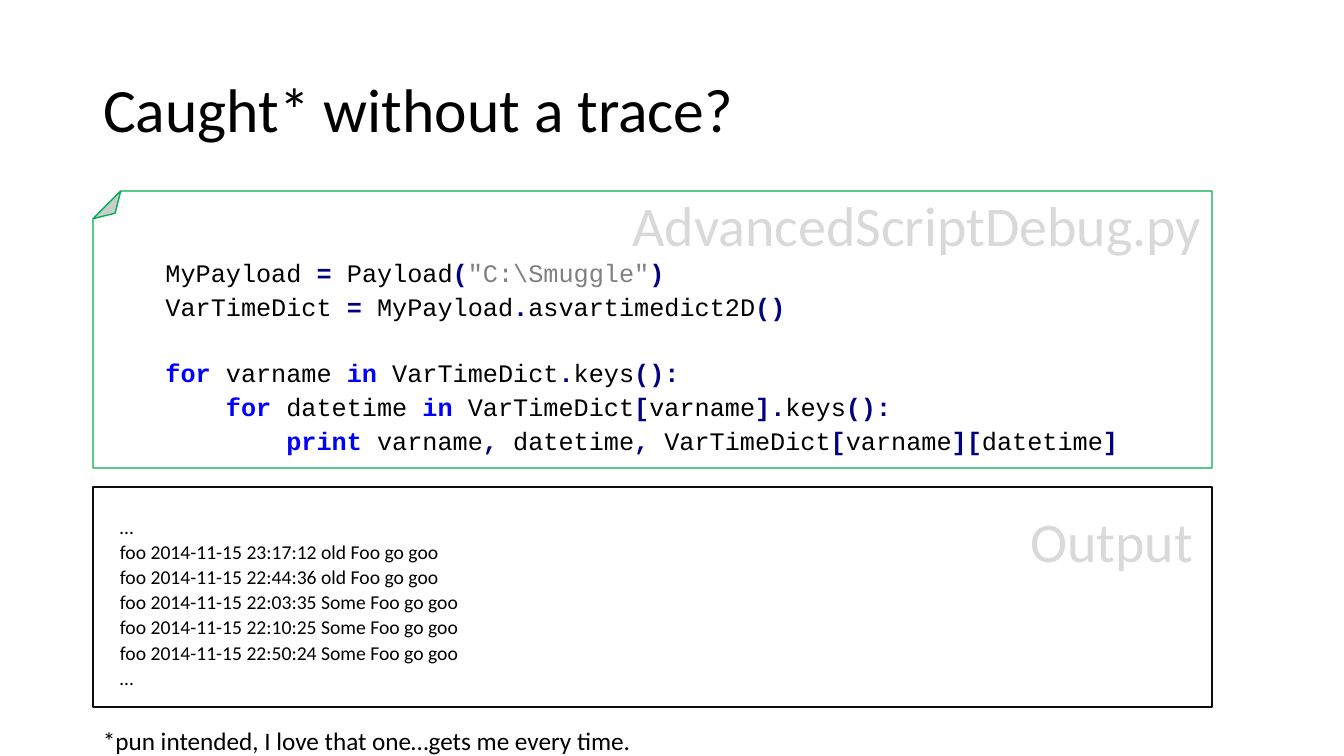
from lxml import etree
from pptx import Presentation
from pptx.dml.color import RGBColor
from pptx.enum.shapes import MSO_SHAPE
from pptx.enum.text import MSO_ANCHOR, PP_ALIGN
from pptx.oxml.ns import qn
from pptx.util import Pt

RECT, FOLDED = MSO_SHAPE.RECTANGLE, MSO_SHAPE.FOLDED_CORNER
LEFT, RIGHT = PP_ALIGN.LEFT, PP_ALIGN.RIGHT
MIDDLE = MSO_ANCHOR.MIDDLE

BLACK = RGBColor(0x00, 0x00, 0x00)
WHITE = RGBColor(0xFF, 0xFF, 0xFF)
FRAME = RGBColor(0x0D, 0x0D, 0x0D)
GREEN = RGBColor(0x00, 0xB0, 0x50)
PALE = RGBColor(0xD9, 0xD9, 0xD9)
NAVY = RGBColor(0x00, 0x00, 0x80)
BLUE = RGBColor(0x00, 0x00, 0xFF)
GREY = RGBColor(0x80, 0x80, 0x80)

BODY_FONT, CODE_FONT = "Calibri", "Courier New"
PX = 914400 / 100.8
INDENT = 60.48  # four characters of 18 pt code
CODE_PT, CODE_SPACING = 18, 1.13

# Token styles: name, operator, keyword, string -> (colour, bold)
STYLES = {"n": (BLACK, False), "o": (NAVY, True),
          "k": (BLUE, True), "s": (GREY, False)}

TITLE = "Caught* without a trace?"
FOOTNOTE = "*pun intended, I love that one…gets me every time."
# Code lines: (indent level, lines skipped before, tokens)
CODE = [
    (0, 0, [("n", "MyPayload "), ("o", "="), ("n", " Payload"), ("o", "("),
            ("s", '"C:\\Smuggle"'), ("o", ")")]),
    (0, 0, [("n", "VarTimeDict "), ("o", "= "), ("n", "MyPayload"),
            ("o", "."), ("n", "asvartimedict2D"), ("o", "()")]),
    (0, 1, [("k", "for "), ("n", "varname "), ("k", "in "),
            ("n", "VarTimeDict"), ("o", "."), ("n", "keys"), ("o", "():")]),
    (1, 0, [("k", "for "), ("n", "datetime "), ("k", "in "),
            ("n", "VarTimeDict"), ("o", "["), ("n", "varname"), ("o", "]."),
            ("n", "keys"), ("o", "():")]),
    (2, 0, [("k", "print "), ("n", "varname"), ("o", ", "),
            ("n", "datetime"), ("o", ", "), ("n", "VarTimeDict"), ("o", "["),
            ("n", "varname"), ("o", "]["), ("n", "datetime"), ("o", "]")]),
]
OUTPUT = [
    "…",
    "foo 2014-11-15 23:17:12 old Foo go goo",
    "foo 2014-11-15 22:44:36 old Foo go goo",
    "foo 2014-11-15 22:03:35 Some Foo go goo",
    "foo 2014-11-15 22:10:25 Some Foo go goo",
    "foo 2014-11-15 22:50:24 Some Foo go goo",
    "…",
]


def px(*lengths):
    """Turn pixel lengths into EMU."""
    return [round(v * PX) for v in lengths]


def add_run(p, text, size, color=BLACK, font=BODY_FONT, bold=False):
    """Add one formatted run to a paragraph."""
    r = p.add_run()
    r.text = text
    r.font.name, r.font.size, r.font.bold = font, Pt(size), bold
    r.font.color.rgb = color


def add_panel(kind, box, line):
    """Add a white panel with a thin outline."""
    sp = s.shapes.add_shape(kind, *px(*box))
    sp.shadow.inherit = False
    sp.fill.solid()
    sp.fill.fore_color.rgb = WHITE
    sp.line.color.rgb = line
    sp.line.width = Pt(1)
    return sp


def set_fold(sp, ratio):
    """Set the size of the folded corner."""
    guides = next(sp._element.iter(qn("a:avLst")))
    etree.SubElement(guides, qn("a:gd"), name="adj",
                     fmla=f"val {round(ratio * 100000)}")


def add_frame(box, wrap=True):
    """Add a text box and return its text frame."""
    tf = s.shapes.add_textbox(*px(*box)).text_frame
    tf.word_wrap = wrap
    return tf


def add_paragraphs(tf, count):
    """Return the given number of paragraphs of a text frame."""
    return [tf.paragraphs[0]] + [tf.add_paragraph() for _ in range(count - 1)]


def add_label(text, box):
    """Add a large pale label aligned right."""
    p = add_frame(box).paragraphs[0]
    p.alignment = RIGHT
    add_run(p, text, 40, PALE)


prs = Presentation()
prs.slide_width, prs.slide_height = px(1344, 756)
s = prs.slides.add_slide(prs.slide_layouts[5])

title = s.shapes.title
title.left, title.top, title.width, title.height = px(93, 40, 1159, 146)
title.text_frame.vertical_anchor = MIDDLE
p = title.text_frame.paragraphs[0]
p.alignment, p.line_spacing = LEFT, 0.9
add_run(p, TITLE, 44)

add_panel(RECT, (93, 487, 1119, 220), FRAME)
script_panel = add_panel(FOLDED, (93, 191, 1119, 277), GREEN)
script_panel.rotation = 180
set_fold(script_panel, 0.1)

tf = add_frame((110, 508, 1178, 189))
for p, line in zip(add_paragraphs(tf, len(OUTPUT)), OUTPUT):
    p.line_spacing = 1.07
    add_run(p, line, 14)

add_label("AdvancedScriptDebug.py", (437, 186, 774, 78))
add_label("Output", (901, 502, 302, 78))

tf = add_frame((95, 248, 1159, 210))
for p, (level, skipped, tokens) in zip(add_paragraphs(tf, len(CODE)), CODE):
    p.line_spacing = CODE_SPACING
    p.space_before = Pt(23 * skipped)
    pPr = p._p.get_or_add_pPr()
    pPr.set("marL", str(px(INDENT * (level + 1))[0]))
    pPr.set("indent", "0")
    for style, text in tokens:
        color, bold = STYLES[style]
        add_run(p, text, CODE_PT, color, CODE_FONT, bold)

tf = add_frame((93, 720, 554, 40), wrap=False)
add_run(tf.paragraphs[0], FOOTNOTE, 18)

prs.save("out.pptx")
